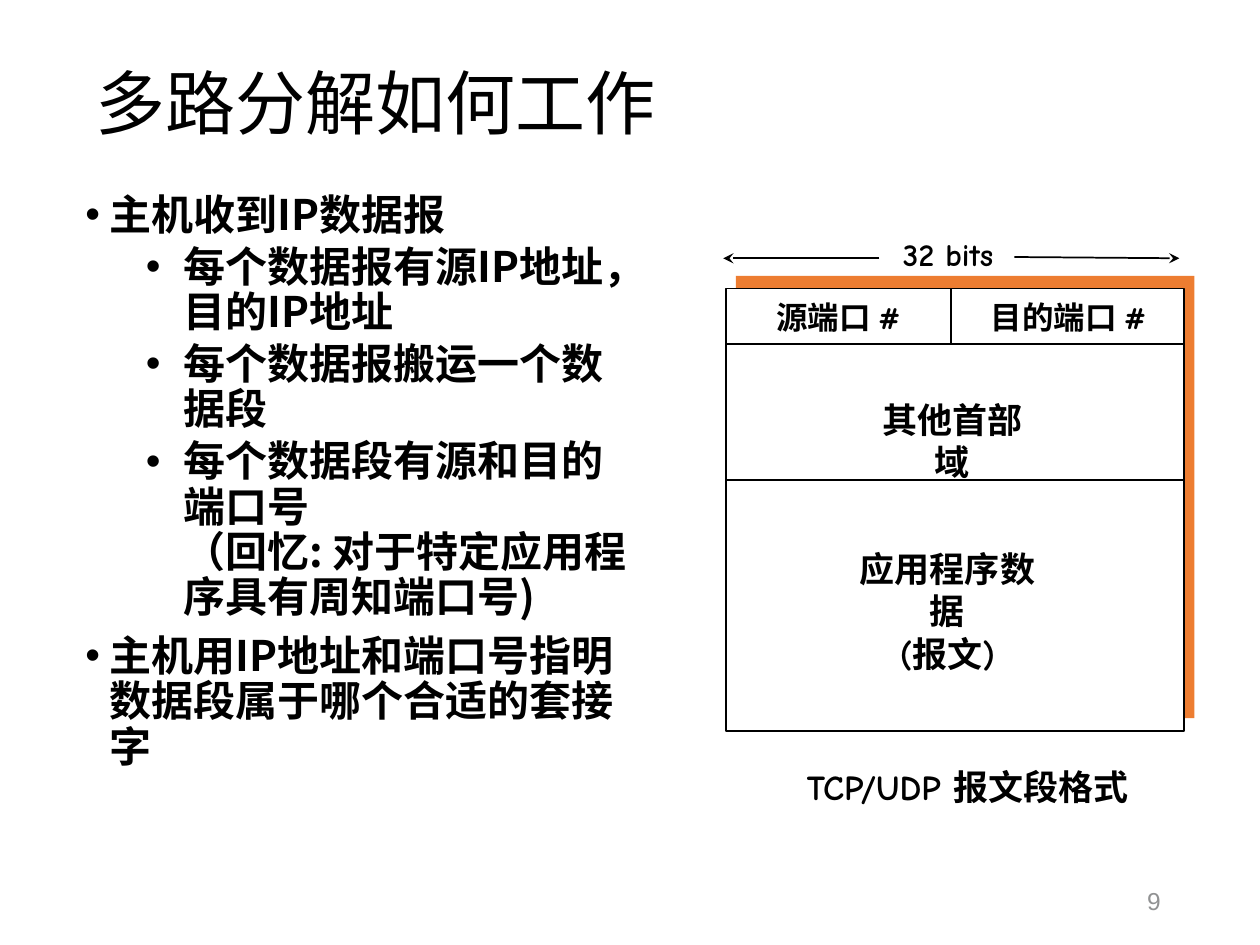
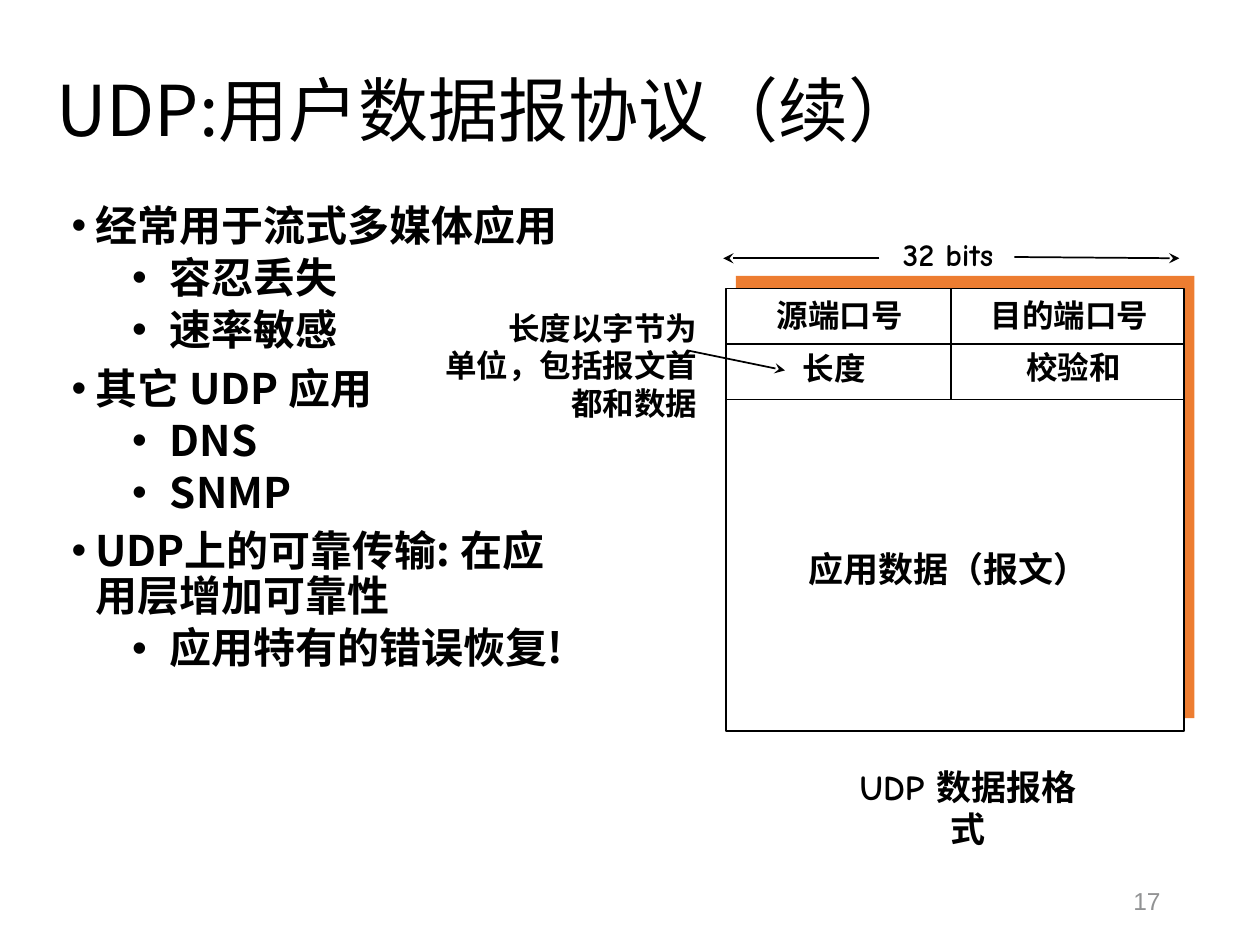
from dataclasses import dataclass

from lxml import etree
from pptx import Presentation
from pptx import util as u
from pptx.dml.color import RGBColor
from pptx.enum import shapes, text
from pptx.oxml.ns import qn

CELL = u.Inches(0.1)  # the slide is a grid of 100 columns by 75 rows
COLUMNS, ROWS = 100, 75


@dataclass(frozen=True)
class Theme:
    ink: str = "000000"
    paper: str = "FFFFFF"
    accent: str = "ED7D31"
    muted: str = "919293"
    sans: str = "Noto Sans CJK SC"
    comic: str = "Comic Neue"
    number_font: str = "Arial"
    title: int = 40
    body: int = 24
    caption: int = 20
    label: int = 18
    number: int = 14
    rule: int = 1


@dataclass(frozen=True)
class Box:
    """A region in columns and rows."""
    left: float
    top: float
    width: float
    height: float

    def inner(self, left, top, width, height):
        return Box(self.left + left, self.top + top, width, height)

    def point(self, column, row):
        return grid(self.left + column), grid(self.top + row)

    def lengths(self):
        return [grid(n) for n in (self.left, self.top, self.width, self.height)]


THEME = Theme()
FRAME = Box(57.6, 22.9, 36.4, 35.1)
HEADER_ROW = 4.4
MIDDLE = 17.9
CENTER = text.PP_ALIGN.CENTER
RIGHT = text.PP_ALIGN.RIGHT

# bullet levels: left margin and hanging indent in inches, space before in points
LEVELS = [(0.19, 0.19, 7.5), (0.78, 0.3, 3.8)]


def grid(cells):
    return round(cells * CELL)


def style_runs(para, size, font, color=THEME.ink, bold=True):
    formats = {"size": u.Pt(size), "name": font, "bold": bold}
    for span in para.runs:
        for name, value in formats.items():
            setattr(span.font, name, value)
        span.font.color.rgb = RGBColor.from_string(color)
        east_asian = etree.SubElement(span.font._element, qn("a:ea"))
        east_asian.set("typeface", THEME.sans)


def add_text(page, box, lines, size, font=THEME.comic, align=None,
             wrap=True, middle=False, **style):
    frame = page.shapes.add_textbox(*box.lengths()).text_frame
    frame.word_wrap = wrap
    if middle:
        frame.vertical_anchor = text.MSO_ANCHOR.MIDDLE
    for index, line in enumerate(lines):
        para = frame.add_paragraph() if index else frame.paragraphs[0]
        para.text = line
        para.alignment = align
        style_runs(para, size, font, **style)
    return frame


def add_title(page, box, title):
    frame = add_text(page, box, [title], THEME.title, THEME.sans,
                     middle=True, bold=False)
    frame.paragraphs[0].line_spacing = 0.9


def add_bullets(page, box, items):
    frame = add_text(page, box, [line for _, line in items], THEME.body, THEME.sans)
    for index, (level, _) in enumerate(items):
        para = frame.paragraphs[index]
        margin, hang, space = LEVELS[level]
        properties = para._p.get_or_add_pPr()
        properties.set("marL", str(u.Inches(margin)))
        properties.set("indent", str(-u.Inches(hang)))
        etree.SubElement(properties, qn("a:buFont")).set("typeface", "Arial")
        etree.SubElement(properties, qn("a:buChar")).set("char", "•")
        para.level = level
        para.line_spacing = 0.9
        if index:
            para.space_before = u.Pt(space)


def add_number(page, number):
    add_text(page, Box(70.6, 69.5, 22.5, 4), [str(number)], THEME.number,
             THEME.number_font, RIGHT, middle=True, color=THEME.muted, bold=False)


def add_line(page, start, end, arrow=False):
    line = page.shapes.add_connector(shapes.MSO_CONNECTOR.STRAIGHT, *start, *end)
    line.line.width = u.Pt(THEME.rule)
    line.line.color.rgb = RGBColor.from_string(THEME.ink)
    if arrow:
        outline = line.line._get_or_add_ln()
        etree.SubElement(outline, qn("a:tailEnd")).set("type", "stealth")
    etree.SubElement(line._element.spPr, qn("a:effectLst"))


def add_panel(page, box, fill, outlined):
    panel = page.shapes.add_shape(shapes.MSO_SHAPE.RECTANGLE, *box.lengths())
    panel.shadow.inherit = False
    panel.fill.solid()
    panel.fill.fore_color.rgb = RGBColor.from_string(fill)
    if outlined:
        panel.line.width = u.Pt(THEME.rule)
        panel.line.color.rgb = RGBColor.from_string(THEME.ink)
    else:
        panel.line.fill.background()


def add_label(page, box, line, size=THEME.label, wrap=False):
    add_text(page, box, line.split("\n"), size, align=CENTER, wrap=wrap)


def add_width_scale(page, box):
    """Mark the 32-bit width above the segment."""
    add_label(page, box.inner(12.3, -4.7, 10.7, 4), "32 bits")
    add_line(page, box.point(22.9, -2.5), box.point(36, -2.4), arrow=True)
    add_line(page, box.point(12.2, -2.4), box.point(-0.2, -2.4), arrow=True)


def add_segment(page, box, rules, split_rows, labels, notes):
    """Draw a segment layout; labels and notes are placed relative to box."""
    add_panel(page, box.inner(0.8, -1, box.width, box.height), THEME.accent, False)
    add_panel(page, box, THEME.paper, True)
    for row in rules:
        add_line(page, box.point(0, row), box.point(box.width, row))
    add_line(page, box.point(MIDDLE, 0), box.point(MIDDLE, split_rows * HEADER_ROW))
    add_width_scale(page, box)
    for line, *place in labels:
        add_label(page, box.inner(*place), line)
    for line, *place in notes:
        add_label(page, box.inner(*place), line, THEME.caption, wrap=True)


def add_length_remark(page, box):
    add_text(page, box.inner(-23.4, 1.1, 22.1, 10),
             ["长度以字节为", "单位，包括报文首都和数据"], THEME.label, align=RIGHT)
    add_line(page, box.point(-3.1, 4.9), box.point(4.7, 6.5), arrow=True)


def add_page(deck, title, title_box, items, items_box, number):
    page = deck.slides.add_slide(deck.slide_layouts[6])
    add_title(page, title_box, title)
    add_bullets(page, items_box, items)
    add_number(page, number)
    return page


def build_demultiplexing(deck):
    items = [
        (0, "主机收到IP数据报"),
        (1, "每个数据报有源IP地址，目的IP地址"),
        (1, "每个数据报搬运一个数据段"),
        (1, "每个数据段有源和目的端口号 \v（回忆: 对于特定应用程序具有周知端口号)"),
        (0, "主机用IP地址和端口号指明数据段属于哪个合适的套接字"),
    ]
    page = add_page(deck, "多路分解如何工作", Box(6.6, 4.6, 73.5, 7.7),
                    items, Box(5.8, 14.9, 45.8, 55.8), 9)
    add_segment(
        page, FRAME, rules=[HEADER_ROW, 15.2], split_rows=1,
        labels=[("源端口 #", 2.6, 0.3, 12.7, 4),
                ("目的端口 #", 19.6, 0.3, 15.2, 4)],
        notes=[("应用程序数据\n(报文)", 8.6, 20.1, 18, 7.7),
               ("其他首部域", 10.5, 8.2, 15, 4.3),
               ("TCP/UDP 报文段格式", 4.6, 37.4, 29.2, 4.3)])


def build_udp(deck):
    items = [
        (0, "经常用于流式多媒体应用"),
        (1, "容忍丢失"),
        (1, "速率敏感"),
        (0, "其它 UDP 应用"),
        (1, "DNS"),
        (1, "SNMP"),
        (0, "UDP上的可靠传输: 在应用层增加可靠性"),
        (1, "应用特有的错误恢复!"),
    ]
    page = add_page(deck, "UDP:用户数据报协议（续）", Box(3.5, 2.8, 91.2, 12.5),
                    items, Box(4.7, 15.8, 41.7, 50.8), 17)
    add_segment(
        page, FRAME, rules=[HEADER_ROW, 2 * HEADER_ROW], split_rows=2,
        labels=[("源端口号", 3, 0.1, 12.1, 4),
                ("目的端口号", 20, 0.1, 14.6, 4),
                ("长度", 5.1, 4.3, 7, 4),
                ("校验和", 22.8, 4.2, 9.6, 4)],
        notes=[("应用数据（报文）", 5.5, 20.1, 24.4, 4.3),
               ("UDP 数据报格式", 8.5, 37.4, 21.5, 4.3)])
    add_length_remark(page, FRAME)


def main():
    deck = Presentation()
    deck.slide_width, deck.slide_height = grid(COLUMNS), grid(ROWS)
    build_demultiplexing(deck)
    build_udp(deck)
    deck.save("out.pptx")


if __name__ == "__main__":
    main()
